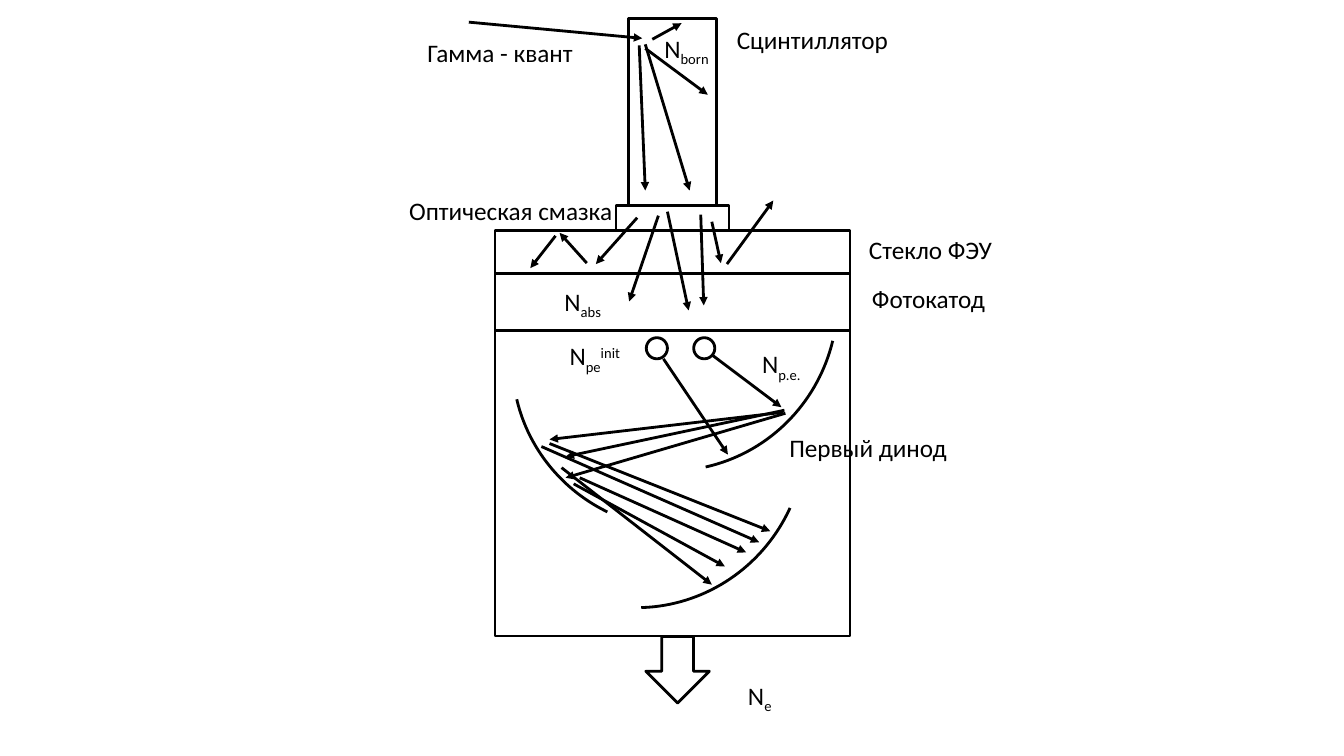
"""Draws a scintillation detector: crystal, photocathode and dynodes."""
from pptx import Presentation
from pptx.dml.color import RGBColor
from pptx.enum.shapes import MSO_CONNECTOR, MSO_SHAPE
from pptx.enum.text import MSO_AUTO_SIZE
from pptx.oxml import parse_xml
from pptx.oxml.ns import nsdecls
from pptx.util import Inches, Pt

RECT, ARC, OVAL = MSO_SHAPE.RECTANGLE, MSO_SHAPE.ARC, MSO_SHAPE.OVAL
ARROW, LINE = MSO_SHAPE.RIGHT_ARROW, MSO_CONNECTOR.STRAIGHT
GROW = MSO_AUTO_SIZE.SHAPE_TO_FIT_TEXT

theme = {"ink": RGBColor(0, 0, 0), "font": "Calibri", "size": Pt(18), "line": Pt(2)}

prs = Presentation()
prs.slide_width, prs.slide_height = Inches(13.33), Inches(7.5)
slide = prs.slides.add_slide(prs.slide_layouts[6])
shapes = slide.shapes
COLS = 1333
cell = prs.slide_width // COLS


def grid(*counts):
    """Turns counts of grid cells into lengths."""
    return [round(count * cell) for count in counts]


def outline(kind, left, top, wide, high, turn=0):
    """Adds an unfilled shape with a dark line."""
    shape = shapes.add_shape(kind, *grid(left, top, wide, high))
    shape.shadow.inherit = False
    shape.fill.background()
    shape.line.color.rgb = theme["ink"]
    shape.line.width = theme["line"]
    shape.rotation = turn
    return shape


AXIS = 667
top = 18
for wide, high in [(88, 186), (112, 25), (352, 42), (352, 57), (352, 303)]:
    outline(RECT, AXIS - wide / 2, top, wide, high)
    top += high

for left, top, turn, start in [
    (466, 271, 114.6, 162),
    (508, 196, 193, 170.13),
    (498, 135, 103.6, 162),
]:
    dynode = outline(ARC, left, top, 336, 329, turn)
    dynode.adjustments[0] = start
    dynode.adjustments[1] = 200.832

for left in (641, 688):
    outline(OVAL, left, 335, 21, 21)
outline(ARROW, 639, 633, 66, 63, 90)

gamma = [(465, 22, 637, 38)]
light = [
    (647, 39, 676, 23), (640, 48, 702, 94),
    (640, 44, 684, 189), (634, 45, 640, 189),
]
glass = [
    (706, 220, 715, 261), (632, 216, 591, 262), (662, 210, 683, 308),
    (721, 262, 767, 199), (582, 261, 555, 231), (551, 234, 526, 266),
    (653, 214, 624, 299), (695, 213, 698, 303),
]
first = [(706, 352, 775, 404), (658, 356, 722, 451)]
second = [(777, 409, 545, 436), (778, 407, 561, 453), (779, 410, 561, 474)]
third = [
    (575, 474, 740, 548), (537, 443, 753, 538), (545, 440, 764, 527),
    (569, 480, 719, 562), (557, 464, 706, 580),
]
for ends in gamma + light + glass + first + second + third:
    ray = shapes.add_connector(LINE, *grid(*ends))
    ray.line.color.rgb = theme["ink"]
    ray.line.width = theme["line"]
    ray.line._get_or_add_ln().append(
        parse_xml(f'<a:tailEnd {nsdecls("a")} type="triangle"/>'))
    ray._element.spPr.append(parse_xml(f'<a:effectLst {nsdecls("a")}/>'))

SUB, SUP = -25000, 30000
labels = [
    (555, 333, 88, [("N", 0), ("pe", SUB), ("init", SUP)]),
    (746, 341, 89, [("N", 0), ("p.e.", SUB)]),
    (732, 670, 89, [("N", 0), ("e", SUB)]),
    (414, 32, 174, [("Гамма - квант", 0)]),
    (721, 19, 174, [("Сцинтиллятор", 0)]),
    (396, 189, 241, [("Оптическая смазка", 0)]),
    (852, 228, 149, [("Стекло ФЭУ", 0)]),
    (855, 276, 149, [("Фотокатод", 0)]),
    (773, 424, 214, [("Первый динод", 0)]),
    (550, 279, 88, [("N", 0), ("abs", SUB)]),
    (649, 28, 88, [("N", 0), ("born", SUB)]),
]
for left, top, wide, parts in labels:
    frame = shapes.add_textbox(*grid(left, top, wide, 40)).text_frame
    frame.word_wrap = True
    frame.auto_size = GROW
    para = frame.paragraphs[0]
    para.font.name = theme["font"]
    para.font.size = theme["size"]
    para.font.color.rgb = theme["ink"]
    for text, shift in parts:
        run = para.add_run()
        run.text = text
        if shift:
            run._r.get_or_add_rPr().set("baseline", str(shift))

prs.save("out.pptx")
